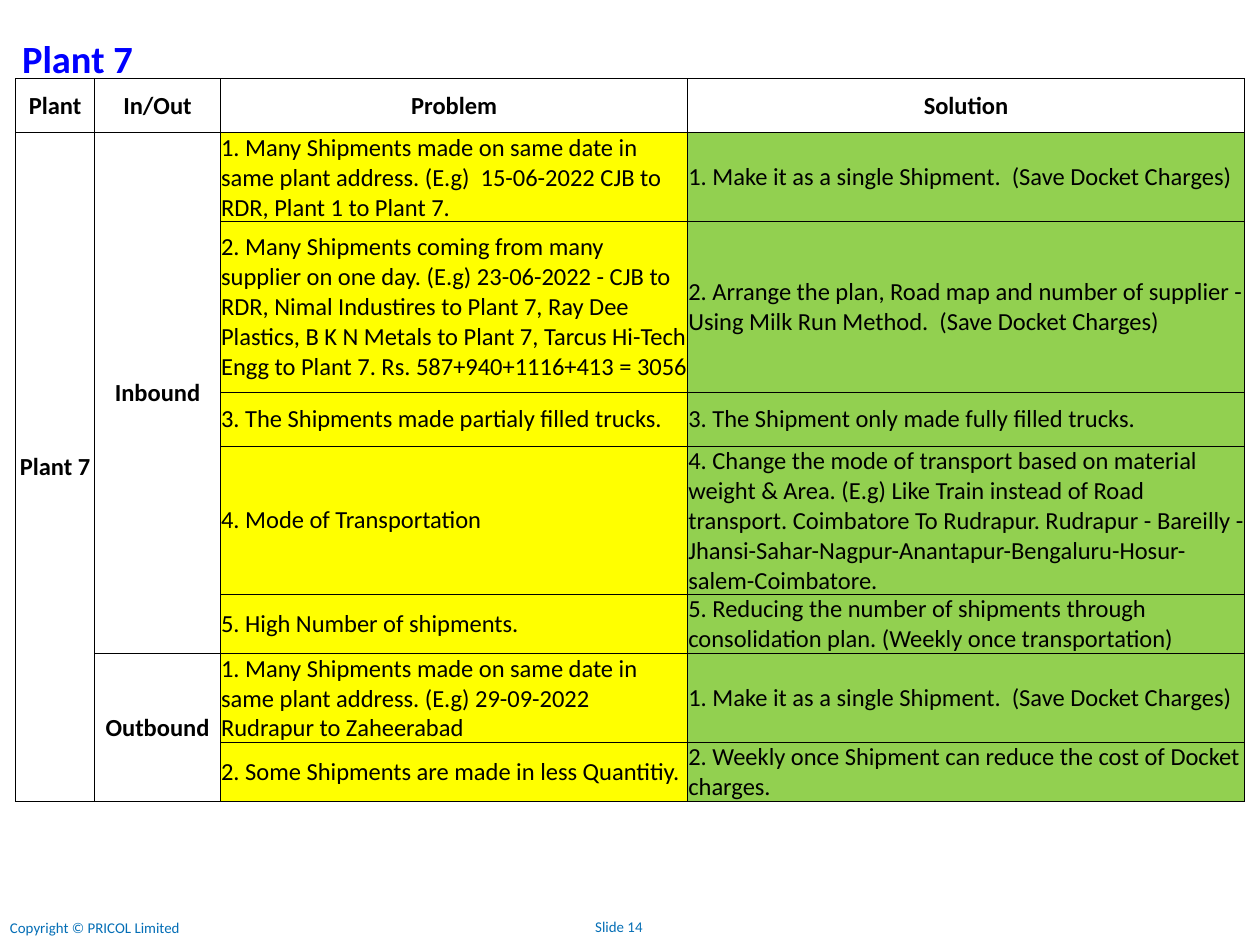
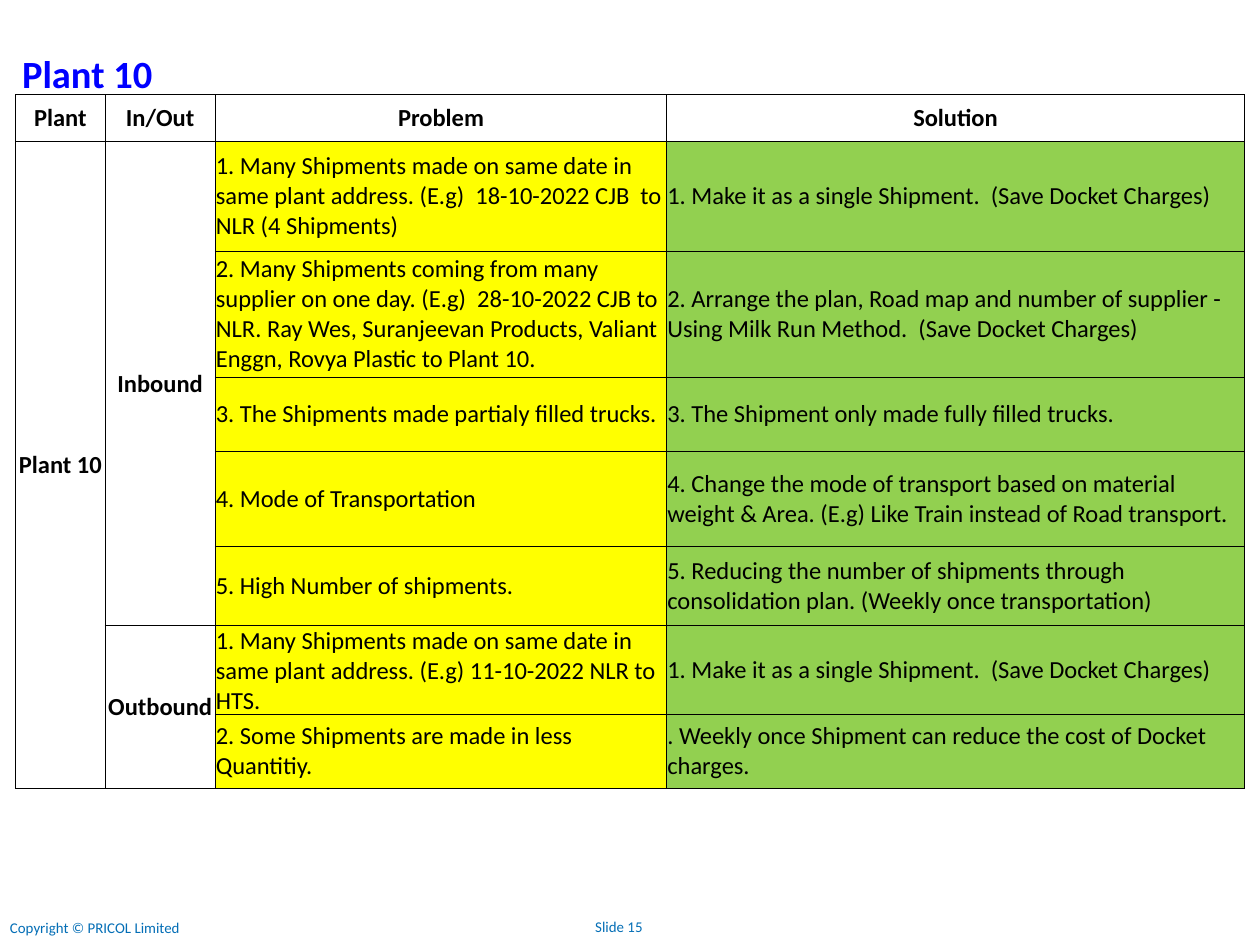
"""Build the plant shipment problem and solution slides."""
from lxml import etree
from pptx import Presentation
from pptx import util as u
from pptx.dml.color import RGBColor
from pptx.enum import text
from pptx.oxml.ns import qn

SAME_DATE = "1. Many Shipments made on same date in same plant address. (E.g) "
SUPPLIERS = "2. Many Shipments coming from many supplier on one day. (E.g) "
SINGLE = "1. Make it as a single Shipment.  (Save Docket Charges)"
MILK_RUN = ("2. Arrange the plan, Road map and number of supplier - "
            "Using Milk Run Method.  (Save Docket Charges)")
MODE = ("4. Change the mode of transport based on material weight & Area. "
        "(E.g) Like Train instead of Road transport.")
FILLED = ("3. The Shipments made partialy filled trucks.",
          "3. The Shipment only made fully filled trucks.")
REDUCE = ("5. High Number of shipments.",
          "5. Reducing the number of shipments through consolidation plan. "
          "(Weekly once transportation)")
LESS = "2. Some Shipments are made in less Quantitiy."
WEEKLY = ". Weekly once Shipment can reduce the cost of Docket charges."


def rgb(value):
    """Turn a hex string into a colour."""
    return RGBColor.from_string(value)


class Deck:
    """Hold the shared style and the current slide."""

    FONT = "Calibri"
    TITLE, FOOTER, INK = "0000FF", "046EB6", "000000"
    PROBLEM, SOLUTION = "FFFF00", "92D050"
    LEFT = 18

    def __init__(self, width, height):
        """Start a deck of the given size."""
        self.prs = Presentation()
        self.prs.slide_width, self.prs.slide_height = u.Pt(width), u.Pt(height)
        self.s = None

    def add_text(self, tf, words, size, color, bold=False, align=text.PP_ALIGN.LEFT):
        """Add one styled run to the first paragraph."""
        p = tf.paragraphs[0]
        p.alignment = align
        r = p.add_run()
        r.text = words
        r.font.name, r.font.size, r.font.bold = self.FONT, u.Pt(size), bold
        r.font.color.rgb = rgb(color)

    def slide(self, title, top, number):
        """Add a slide with its title and footers."""
        self.s = self.prs.slides.add_slide(self.prs.slide_layouts[5])
        sp = self.s.shapes.title
        sp.left, sp.top, sp.width, sp.height = map(u.Pt, (self.LEFT, top, 414, 54))
        tf = sp.text_frame
        tf.auto_size = text.MSO_AUTO_SIZE.NONE
        tf.vertical_anchor = text.MSO_ANCHOR.TOP
        tf.word_wrap = True
        self.add_text(tf, title, 44, self.TITLE, True)
        self.footer("Copyright © PRICOL Limited", 4.3, 1046.2, 224)
        self.footer(f"Slide {number}", 673.2, 1045.4, 93.6)

    def footer(self, words, left, top, width):
        """Add one footer text."""
        sp = self.s.shapes.add_textbox(*map(u.Pt, (left, top, width, 28)))
        sp.text_frame.word_wrap = True
        self.add_text(sp.text_frame, words, 17, self.FOOTER)

    def borders(self, cell, top=1, bottom=1):
        """Draw the four borders of a cell."""
        tc_pr = cell._tc.get_or_add_tcPr()
        sides = (("L", 1), ("R", 1), ("T", top), ("B", bottom))
        for i, (side, width) in enumerate(sides):
            ln = etree.Element(qn(f"a:ln{side}"), w=str(u.Pt(width)))
            fill = etree.SubElement(ln, qn("a:solidFill"))
            etree.SubElement(fill, qn("a:srgbClr"), val=self.INK)
            tc_pr.insert(i, ln)

    def cell(self, cell, words, fill=None, top=1, bottom=1):
        """Fill a body cell, or a bold centred label when there is no fill."""
        cell.vertical_anchor = text.MSO_ANCHOR.MIDDLE
        cell.margin_left = cell.margin_right = cell.margin_top = u.Pt(0.7)
        cell.margin_bottom = 0
        if fill:
            cell.fill.solid()
            cell.fill.fore_color.rgb = rgb(fill)
        else:
            cell.fill.background()
        self.borders(cell, top, bottom)
        if words:
            align = text.PP_ALIGN.LEFT if fill else text.PP_ALIGN.CENTER
            self.add_text(cell.text_frame, words, 28, self.INK, not fill, align)

    def table(self, plant, top, widths, heights, groups):
        """Add the table of problems and solutions, grouped by direction."""
        frame = self.s.shapes.add_table(
            len(heights), len(widths),
            *map(u.Pt, (self.LEFT, top, sum(widths), sum(heights))))
        tbl = frame.table
        tbl.first_row = tbl.horz_banding = False
        for col, width in zip(tbl.columns, widths):
            col.width = u.Pt(width)
        for row, height in zip(tbl.rows, heights):
            row.height = u.Pt(height)
        for c, head in enumerate(("Plant", "In/Out", "Problem", "Solution")):
            self.cell(tbl.cell(0, c), head)
        r = 1
        for direction, pairs in groups.items():
            last = len(pairs) - 1
            for i, (problem, solution) in enumerate(pairs):
                edges = (0.5 if i else 1, 0.5 if i < last else 1)
                self.cell(tbl.cell(r + i, 0), plant if r + i == 1 else "")
                self.cell(tbl.cell(r + i, 1), "" if i else direction)
                self.cell(tbl.cell(r + i, 2), problem, self.PROBLEM, *edges)
                self.cell(tbl.cell(r + i, 3), solution, self.SOLUTION, *edges)
            tbl.cell(r, 1).merge(tbl.cell(r + last, 1))
            r += len(pairs)
        tbl.cell(1, 0).merge(tbl.cell(r - 1, 0))

    def plant(self, name, number, top, widths, heights, *details):
        """Add the whole slide of one plant."""
        same_date, suppliers, route, outbound, weekly = details
        self.slide(name, top, number)
        self.table(name, top + 54, widths, heights, {
            "Inbound": [(SAME_DATE + same_date, SINGLE),
                        (SUPPLIERS + suppliers, MILK_RUN),
                        FILLED,
                        ("4. Mode of Transportation", MODE + route),
                        REDUCE],
            "Outbound": [(SAME_DATE + outbound, SINGLE),
                         (LESS, weekly + WEEKLY)],
        })


def main():
    """Build and save the deck."""
    deck = Deck(1440, 1080)
    deck.plant(
        "Plant 7", 14, 36, (90, 144, 534, 636),
        (61.2, 98.6, 195.8, 61.2, 163.4, 65.5, 98.6, 65.5),
        " 15-06-2022 CJB to RDR, Plant 1 to Plant 7.",
        "23-06-2022 - CJB to RDR, Nimal Industires to Plant 7, Ray Dee Plastics, "
        "B K N Metals to Plant 7, Tarcus Hi-Tech Engg to Plant 7. "
        "Rs. 587+940+1116+413 = 3056",
        " Coimbatore To Rudrapur. Rudrapur - Bareilly - Jhansi-Sahar-Nagpur-"
        "Anantapur-Bengaluru-Hosur-salem-Coimbatore.",
        "29-09-2022 Rudrapur to Zaheerabad", "2")
    deck.plant(
        "Plant 10", 15, 54, (102, 126, 516, 660),
        (54, 124.6, 144.7, 84.2, 108.7, 90.7, 90.7, 84.2),
        " 18-10-2022 CJB  to NLR (4 Shipments)",
        " 28-10-2022 CJB to NLR. Ray Wes, Suranjeevan Products, Valiant Enggn, "
        "Rovya Plastic to Plant 10.",
        "", "11-10-2022 NLR to HTS.", "")
    deck.prs.save("out.pptx")


if __name__ == "__main__":
    main()
